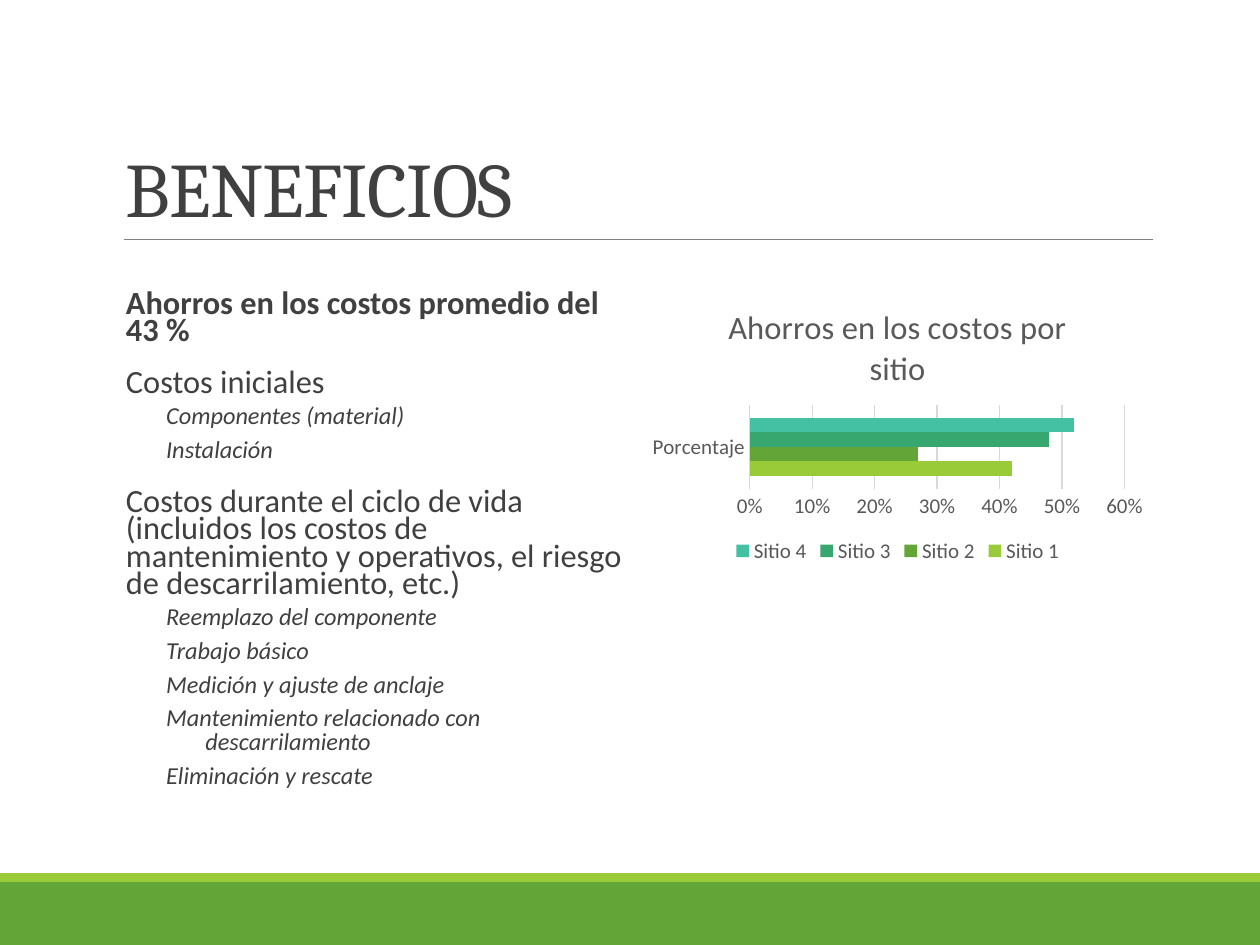
from lxml import etree
from pptx import Presentation
from pptx.chart.data import CategoryChartData
from pptx.dml.color import RGBColor
from pptx.enum.chart import XL_CHART_TYPE, XL_LEGEND_POSITION, XL_TICK_MARK
from pptx.enum.shapes import MSO_CONNECTOR, MSO_SHAPE
from pptx.enum.text import MSO_ANCHOR
from pptx.oxml.ns import qn
from pptx.util import Cm, Pt

BAR_CLUSTERED = XL_CHART_TYPE.BAR_CLUSTERED
BOTTOM_LEGEND = XL_LEGEND_POSITION.BOTTOM
NO_TICK = XL_TICK_MARK.NONE
STRAIGHT = MSO_CONNECTOR.STRAIGHT
RECTANGLE = MSO_SHAPE.RECTANGLE
ANCHOR_BOTTOM, ANCHOR_TOP = MSO_ANCHOR.BOTTOM, MSO_ANCHOR.TOP

COLORS = {"text": "404040", "chart_text": "595959", "rule": "808080", "grid": "D9D9D9",
          "lime": "99CB38", "green": "63A537", "emerald": "37A76F", "teal": "44C1A3"}

# Paragraph and font formats of the two outline levels
PARA_FORMATS = [
    {"line_spacing": 0.7, "space_before": Pt(12), "space_after": Pt(2)},
    {"line_spacing": 0.8, "space_before": Pt(2), "space_after": Pt(4)},
]
FONT_FORMATS = [{"size": Pt(18.5)}, {"size": Pt(13.9), "italic": True}]
INDENTS = [(Cm(0.25), 0), (Cm(1.85), Cm(-0.79))]

BENEFITS = [
    (0, "Ahorros en los costos promedio del 43\u00a0%", True),
    (0, "Costos iniciales", False),
    (1, "Componentes (material)", False),
    (1, "Instalación", False),
    (0, "Costos durante el ciclo de vida (incluidos los costos de mantenimiento "
        "y operativos, el riesgo de descarrilamiento, etc.)", False),
    (1, "Reemplazo del componente", False),
    (1, "Trabajo básico", False),
    (1, "Medición y ajuste de anclaje", False),
    (1, "Mantenimiento relacionado con descarrilamiento", False),
    (1, "Eliminación y rescate", False),
]
SITES = [("Sitio\u00a01", 0.42, "lime"), ("Sitio\u00a02", 0.27, "green"),
         ("Sitio\u00a03", 0.48, "emerald"), ("Sitio\u00a04", 0.52, "teal")]


def color(name):
    return RGBColor.from_string(COLORS[name])


def apply(target, formats):
    for name, value in formats.items():
        setattr(target, name, value)


def style_font(font, name, color_name, **formats):
    apply(font, {"name": name, **formats})
    font.color.rgb = color(color_name)


def style_line(line, color_name, width):
    line.color.rgb = color(color_name)
    line.width = Pt(width)


def add_text_frame(page, box, **formats):
    frame = page.shapes.add_textbox(*box).text_frame
    apply(frame, {"word_wrap": True, **formats})
    return frame


def add_footer(page, left, top, width, height):
    """Green band with a thin lime stripe on its upper edge."""
    stripe = Cm(0.18)
    for y, tall, fill in ((top, height, "green"), (top - stripe, stripe, "lime")):
        band = page.shapes.add_shape(RECTANGLE, left, y, width, tall)
        band.shadow.inherit = False
        band.fill.solid()
        band.fill.fore_color.rgb = color(fill)
        band.line.fill.background()


def add_title(page, left, top, width, height):
    """Bottom-anchored title with a rule below it."""
    rule_left, bottom = left + Cm(0.2), top + height
    rule = page.shapes.add_connector(STRAIGHT, rule_left, bottom, left + width, bottom)
    style_line(rule.line, "rule", 0.5)
    etree.SubElement(rule._element.spPr, qn("a:effectLst"))

    frame = add_text_frame(page, (left, top, width, height), vertical_anchor=ANCHOR_BOTTOM)
    para = frame.paragraphs[0]
    para.line_spacing = 0.85
    span = para.add_run()
    span.text = "BENEFICIOS"
    style_font(span.font, "Cambria", "text", size=Pt(44))
    span._r.get_or_add_rPr().set("spc", "-50")


def add_benefits(page, left, top, width, height):
    """Two-level outline."""
    frame = add_text_frame(page, (left, top, width, height), margin_left=0, margin_right=0,
                           vertical_anchor=ANCHOR_TOP)
    for index, (level, text, bold) in enumerate(BENEFITS):
        para = frame.add_paragraph() if index else frame.paragraphs[0]
        apply(para, {"level": level, **PARA_FORMATS[level]})
        properties = para._p.get_or_add_pPr()
        for name, length in zip(("marL", "indent"), INDENTS[level]):
            properties.set(name, str(int(length)))
        span = para.add_run()
        span.text = text
        style_font(span.font, "Calibri", "text", bold=bold, **FONT_FORMATS[level])


def add_savings_chart(page, left, top, width, height):
    """Savings of each site as clustered bars."""
    data = CategoryChartData(number_format="0%")
    data.categories = ["Porcentaje"]
    for name, value, _ in SITES:
        data.add_series(name, [value])
    chart = page.shapes.add_chart(BAR_CLUSTERED, left, top, width, height, data).chart
    style_font(chart.font, "Calibri", "chart_text", size=Pt(12))

    # Title and legend
    chart.has_title = True
    title = chart.chart_title
    title.include_in_layout = False
    span = title.text_frame.paragraphs[0].add_run()
    span.text = "Ahorros en los costos por sitio"
    style_font(span.font, "Calibri", "chart_text", size=Pt(18.6), bold=False)
    chart.has_legend = True
    apply(chart.legend, {"position": BOTTOM_LEGEND, "include_in_layout": False})

    # Axes
    for axis in (chart.category_axis, chart.value_axis):
        apply(axis, {"major_tick_mark": NO_TICK, "minor_tick_mark": NO_TICK})
        style_font(axis.tick_labels.font, "Calibri", "chart_text", size=Pt(12))
    style_line(chart.category_axis.format.line, "grid", 0.75)
    values = chart.value_axis
    apply(values, {"minimum_scale": 0, "maximum_scale": 0.6, "major_unit": 0.1})
    values.format.line.fill.background()
    style_line(values.major_gridlines.format.line, "grid", 0.75)
    apply(values.tick_labels, {"number_format": "0%", "number_format_is_linked": False})

    # Bars
    plot = chart.plots[0]
    apply(plot, {"gap_width": 182, "overlap": 0, "vary_by_categories": False})
    for series, (_, _, fill) in zip(plot.series, SITES):
        series.format.fill.solid()
        series.format.fill.fore_color.rgb = color(fill)


deck = Presentation()
deck.slide_width, deck.slide_height = Cm(25.4), Cm(19.05)
page = deck.slides.add_slide(deck.slide_layouts[6])

add_footer(page, 0, Cm(17.78), deck.slide_width, Cm(1.27))
add_title(page, Cm(2.29), Cm(1.98), Cm(20.95), Cm(2.85))
add_benefits(page, Cm(2.29), Cm(5.77), Cm(10.29), Cm(11.18))
add_savings_chart(page, Cm(12.95), Cm(5.77), Cm(10.29), Cm(5.69))

deck.save("out.pptx")
